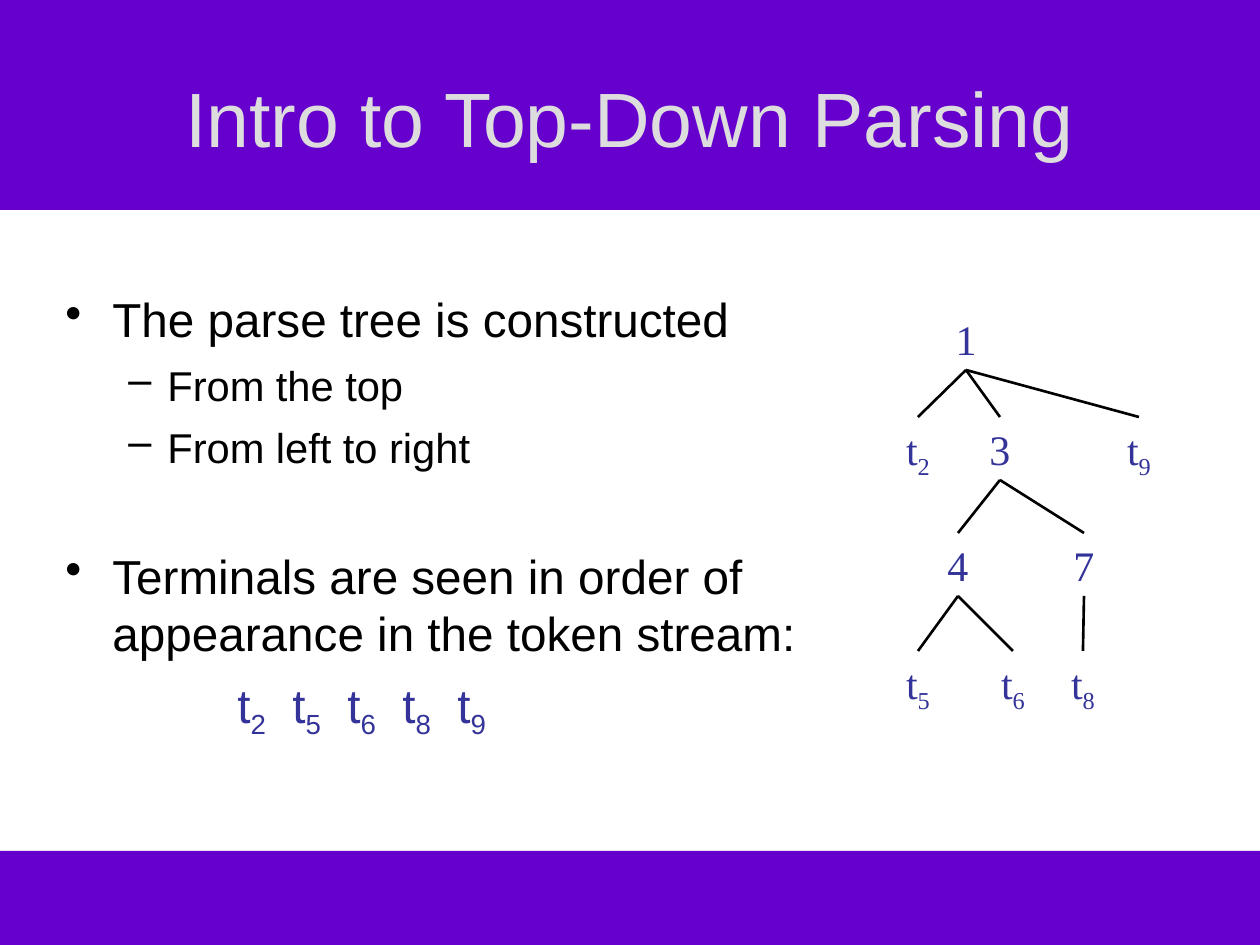
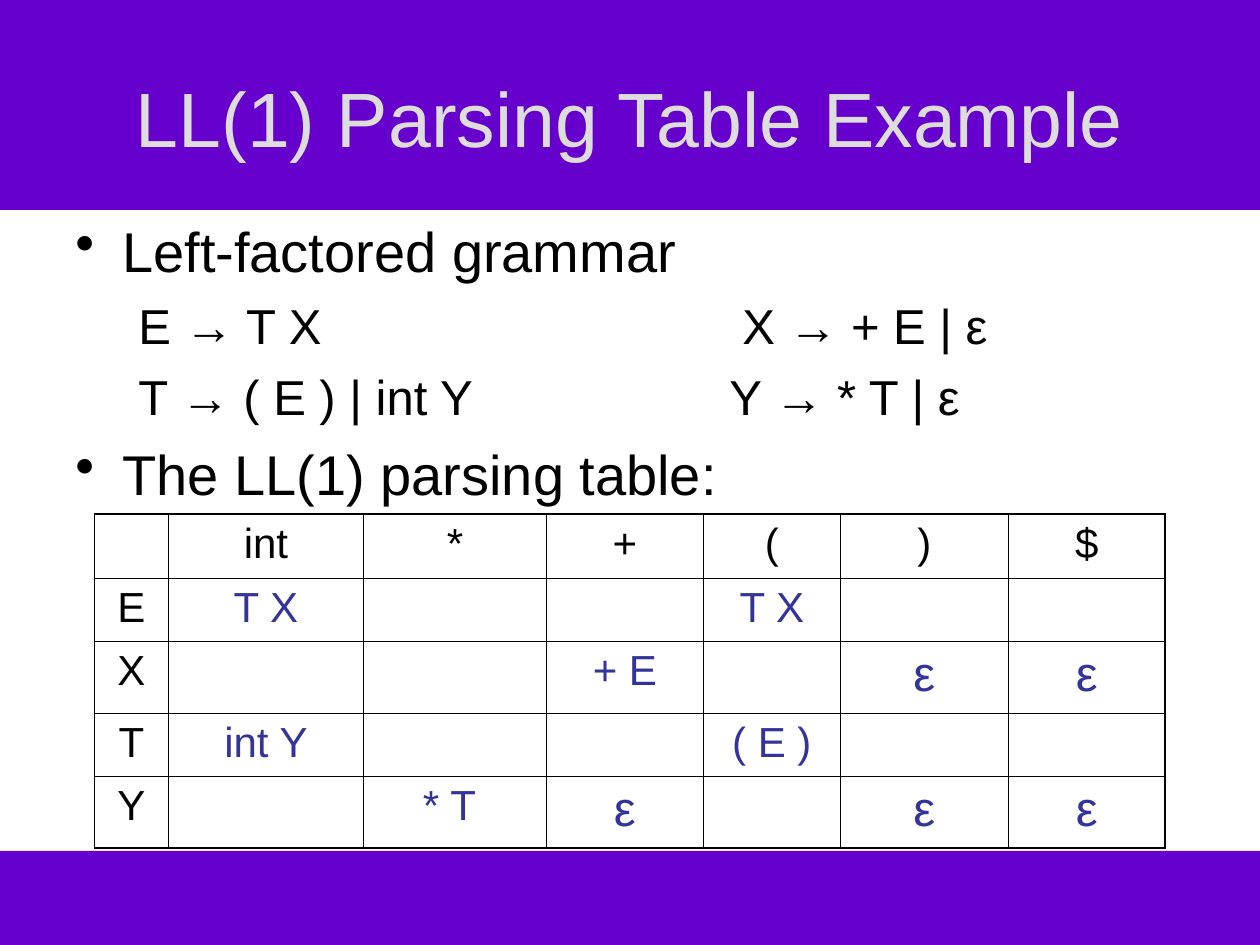
from lxml import etree
from pptx import Presentation
from pptx import util as u
from pptx.dml.color import RGBColor
from pptx.enum import shapes, text
from pptx.oxml import ns

PX = 914400 / 126
COLORS = {"band": "6600CC", "title": "DDDDDD", "ink": "000000", "accent": "333399"}
SANS, SERIF = "Arial", "Times New Roman"


def write(para, content, size=24, color="ink", font=SANS, align=None, before=0):
    """Fill a paragraph; the character after each underscore is a subscript."""
    para.alignment = align
    para.space_before = u.Pt(before)
    plain, *marked = content.split("_")
    pieces = [(plain, False)]
    for piece in marked:
        pieces += [(piece[0], True), (piece[1:], False)]
    for piece, lowered in pieces:
        if piece:
            span = para.add_run()
            span.text = piece
            span.font.size = u.Pt(size)
            span.font.name = font
            span.font.color.rgb = RGBColor.from_string(COLORS[color])
            if lowered:
                span._r.get_or_add_rPr().set("baseline", "-25000")


def indent(para, left=0, first=0, bullet=None, tabs=()):
    """Give the paragraph a hanging bullet or tab stops, in px."""
    props = para._p.get_or_add_pPr()
    if bullet:
        props.set("marL", str(int(left * PX)))
        props.set("indent", str(int(first * PX)))
        etree.SubElement(props, ns.qn("a:buChar"), char=bullet)
    if tabs:
        stops = etree.SubElement(props, ns.qn("a:tabLst"))
        for stop in tabs:
            etree.SubElement(stops, ns.qn("a:tab"), pos=str(int(stop * PX)), algn="l")


deck = Presentation()
deck.slide_width, deck.slide_height = int(1260 * PX), int(945 * PX)

# Shared bands, titles and body text
MAIN = {"left": 47, "first": -47, "bullet": "•"}
SUB = {"left": 102, "first": -39, "bullet": "–"}
TOKENS = {"tabs": [172 + 55 * step for step in range(5)]}

contents = [
    ("Intro to Top-Down Parsing", (53, 284, 788, 535), [
        ("The parse tree is constructed", 27.2, "ink", 8, MAIN),
        ("From the top", 23.8, "ink", 7, SUB),
        ("From left to right", 23.8, "ink", 7, SUB),
        ("Terminals are seen in order of appearance in the token stream:", 27.2, "ink", 43, MAIN),
        ("\tt_2\tt_5\tt_6\tt_8\tt_9", 27.2, "accent", 8, TOKENS),
    ]),
    ("LL(1) Parsing Table Example", (63, 210, 1134, 624), [
        ("Left-factored grammar", 32, "ink", 8, MAIN),
        ("\tE → T X\tX → + E | ε", 28, "ink", 7, {"tabs": [63, 667]}),
        ("\tT → ( E ) | int Y\tY → * T | ε", 28, "ink", 7, {"tabs": [63, 654]}),
        ("The LL(1) parsing table:", 32, "ink", 8, MAIN),
    ]),
]

for heading, place, lines in contents:
    page = deck.slides.add_slide(deck.slide_layouts[5])
    for top, height in ((851, 94), (0, 210)):
        band = page.shapes.add_shape(shapes.MSO_SHAPE.RECTANGLE, 0, int(top * PX),
                                     deck.slide_width, int(height * PX))
        band.shadow.inherit = False
        band.fill.solid()
        band.fill.fore_color.rgb = RGBColor.from_string(COLORS["band"])
        band.line.fill.background()

    title = page.shapes.title
    page.shapes.element.append(title.element)  # bring in front of the bands
    title.left, title.top, title.width, title.height = [int(n * PX) for n in (63, 38, 1134, 158)]
    title.text_frame.auto_size = text.MSO_AUTO_SIZE.NONE
    title.text_frame.vertical_anchor = text.MSO_ANCHOR.MIDDLE
    write(title.text_frame.paragraphs[0], heading, size=44, color="title",
          align=text.PP_ALIGN.CENTER)

    body = page.shapes.add_textbox(*[int(n * PX) for n in place]).text_frame
    body.word_wrap = True
    for number, (content, size, color, before, margins) in enumerate(lines):
        para = body.add_paragraph() if number else body.paragraphs[0]
        # the first paragraph starts at the top of the box
        write(para, content, size=size, color=color, before=before if number else 0)
        indent(para, **margins)

tree_page, table_page = deck.slides

# Parse tree: label, centre and top of each node
nodes = {}
for label, center, top in [
    ("1", 966, 307),
    ("t_2", 918, 417), ("3", 1000, 417), ("t_9", 1139, 417),
    ("4", 958, 533), ("7", 1084, 533),
    ("t_5", 918, 651), ("t_6", 1013, 651), ("t_8", 1083, 651),
]:
    width, height = (50, 71) if "_" in label else (46, 63)
    box = tree_page.shapes.add_textbox(
        *[int(n * PX) for n in (center - width / 2, top, width, height)])
    frame = box.text_frame
    frame.margin_left = frame.margin_right = 0
    frame.word_wrap = False
    write(frame.paragraphs[0], label, color="accent", font=SERIF,
          align=text.PP_ALIGN.CENTER)
    nodes[label] = box

branches = {"1": ["t_2", "3", "t_9"], "3": ["4", "7"], "4": ["t_5", "t_6"], "7": ["t_8"]}
for parent, children in branches.items():
    for child in children:
        branch = tree_page.shapes.add_connector(shapes.MSO_CONNECTOR.STRAIGHT, 0, 0, 0, 0)
        branch.begin_connect(nodes[parent], 2)
        branch.end_connect(nodes[child], 0)
        branch.line.width = u.Pt(1.5)
        branch.line.color.rgb = RGBColor.from_string(COLORS["ink"])
        etree.SubElement(branch.element.spPr, ns.qn("a:effectLst"))

# Parsing table
entries = [
    ["", "int", "*", "+", "(", ")", "$"],
    ["E", "T X", "", "", "T X", "", ""],
    ["X", "", "", "+ E", "", "ε", "ε"],
    ["T", "int Y", "", "", "( E )", "", ""],
    ["Y", "", "* T ", "ε", "", "ε", "ε"],
]
widths = [74, 195, 183, 157, 137, 168, 157]
heights = [64, 63, 72, 63, 72]
table = table_page.shapes.add_table(
    len(heights), len(widths),
    *[int(n * PX) for n in (94.5, 514, sum(widths), sum(heights))]).table
table.first_row = table.horz_banding = False
for column, width in zip(table.columns, widths):
    column.width = int(width * PX)
for row, height in zip(table.rows, heights):
    row.height = int(height * PX)

for r, entry_row in enumerate(entries):
    for c, entry in enumerate(entry_row):
        cell = table.cell(r, c)
        if entry:
            write(cell.text_frame.paragraphs[0], entry, size=28 if entry == "ε" else 24,
                  color="accent" if r and c else "ink", align=text.PP_ALIGN.CENTER)
        outer = {"lnL": c == 0, "lnR": c == len(widths) - 1,
                 "lnT": r == 0, "lnB": r == len(heights) - 1}
        props = cell._tc.get_or_add_tcPr()
        for side, on_edge in outer.items():
            border = etree.SubElement(props, ns.qn("a:" + side),
                                      w=str(u.Pt(1.08 if on_edge else 0.45)))
            fill = etree.SubElement(border, ns.qn("a:solidFill"))
            etree.SubElement(fill, ns.qn("a:srgbClr"), val=COLORS["ink"])
        cell.fill.background()

deck.save("out.pptx")
